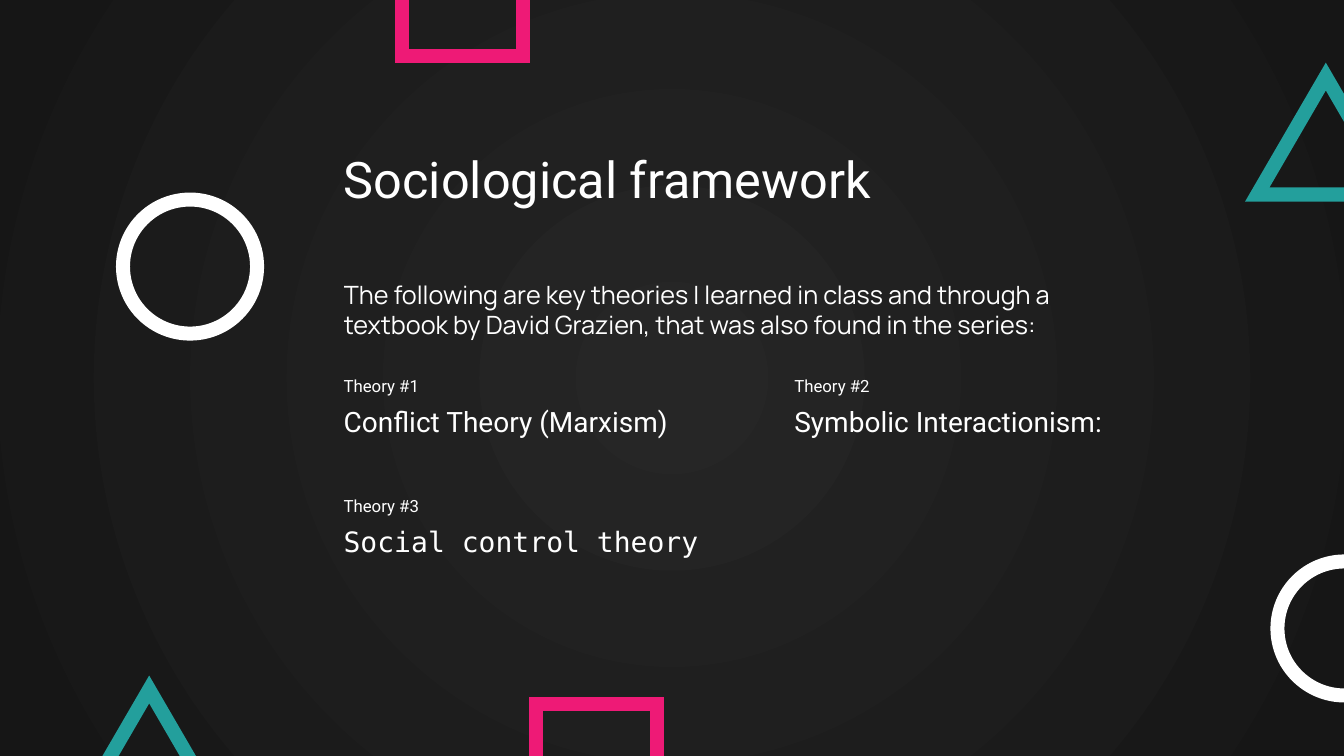
from lxml.etree import SubElement
from pptx import Presentation
from pptx.dml.color import RGBColor
from pptx.enum.shapes import MSO_SHAPE
from pptx.enum.text import MSO_ANCHOR, MSO_AUTO_SIZE, PP_ALIGN
from pptx.oxml import parse_xml
from pptx.oxml.ns import nsdecls, qn
from pptx.util import Inches, Pt

WHITE = RGBColor(0xFF, 0xFF, 0xFF)
PINK = RGBColor(0xEE, 0x1A, 0x76)
TEAL = RGBColor(0x23, 0x9F, 0x9C)
DARK = RGBColor(0x26, 0x26, 0x26)
BLACK = RGBColor(0x16, 0x16, 0x16)


def place(shape, left, top, width, height):
    shape.left, shape.top = Inches(left), Inches(top)
    shape.width, shape.height = Inches(width), Inches(height)
    frame = shape.text_frame
    frame.word_wrap = True
    frame.auto_size = MSO_AUTO_SIZE.NONE
    frame.vertical_anchor = MSO_ANCHOR.TOP
    return frame


def style(para, size, face, lines, before=0):
    para.alignment = PP_ALIGN.LEFT
    para.line_spacing = lines
    para.space_before = Pt(before)
    for run in para.runs:
        run.font.size = Pt(size)
        run.font.name = face
        run.font.color.rgb = WHITE


deck = Presentation()
deck.slide_width, deck.slide_height = Inches(13.33), Inches(7.5)
slide = deck.slides.add_slide(deck.slide_layouts[1])

fill = slide.background.fill
fill.gradient()
for stop, color, spot in zip(fill.gradient_stops, (DARK, BLACK), (0, 1)):
    stop.color.rgb = color
    stop.position = spot
lin = slide.element.find(".//" + qn("a:lin"))
lin.getparent().replace(lin, parse_xml(
    f'<a:path {nsdecls("a")} path="circle">'
    '<a:fillToRect l="50000" t="50000" r="50000" b="50000"/></a:path>'))

kinds = [
    (MSO_SHAPE.OVAL, WHITE, 1.33, 1.33, [(12.67, 5.57), (1.22, 1.98)]),
    (MSO_SHAPE.RECTANGLE, PINK, 1.2, 1.2, [(5.32, 6.98), (3.99, -0.64)]),
    (MSO_SHAPE.ISOSCELES_TRIANGLE, TEAL, 1.36, 1.17,
     [(12.47, 0.76), (0.8, 6.84)]),
]
for kind, color, width, height, spots in kinds:
    for left, top in spots:
        shape = slide.shapes.add_shape(
            kind, Inches(left), Inches(top), Inches(width), Inches(height))
        shape.shadow.inherit = False
        shape.fill.background()
        shape.line.color.rgb = color
        shape.line.width = Pt(10)
        line = shape.element.spPr.find(qn("a:ln"))
        SubElement(line, qn("a:miter")).set("lim", "800000")

title = place(slide.shapes.title, 3.31, 1.54, 8.05, 0.59)
title.text = "Sociological framework"
style(title.paragraphs[0], 36, "Roboto", 0.8)

intro = place(slide.placeholders[1], 3.31, 2.72, 7.51, 0.71)
intro.text = ("The following are key theories I learned in class and through "
              "a textbook by David Grazien, that was also found in the series:")
para = intro.paragraphs[0]
props = para._p.get_or_add_pPr()
props.set("marL", "0")
props.set("indent", "0")
SubElement(props, qn("a:buNone"))
style(para, 18, "Manrope", 1.0)

theories = [
    ("Conflict Theory (Marxism)", "Roboto", 3.31, 3.72),
    ("Symbolic Interactionism:", "Roboto", 7.78, 3.72),
    ("Social control theory", "DejaVu Sans Mono", 3.31, 4.91),
]
for num, (name, face, left, top) in enumerate(theories, 1):
    box = slide.shapes.add_textbox(0, 0, 0, 0)
    frame = place(box, left, top, 3.87, 0.69)
    frame.text = f"Theory #{num}\n{name}"
    label, head = frame.paragraphs
    style(label, 12, "Roboto", 0.8)
    style(head, 20, face, 0.8, 11)

deck.save("out.pptx")
